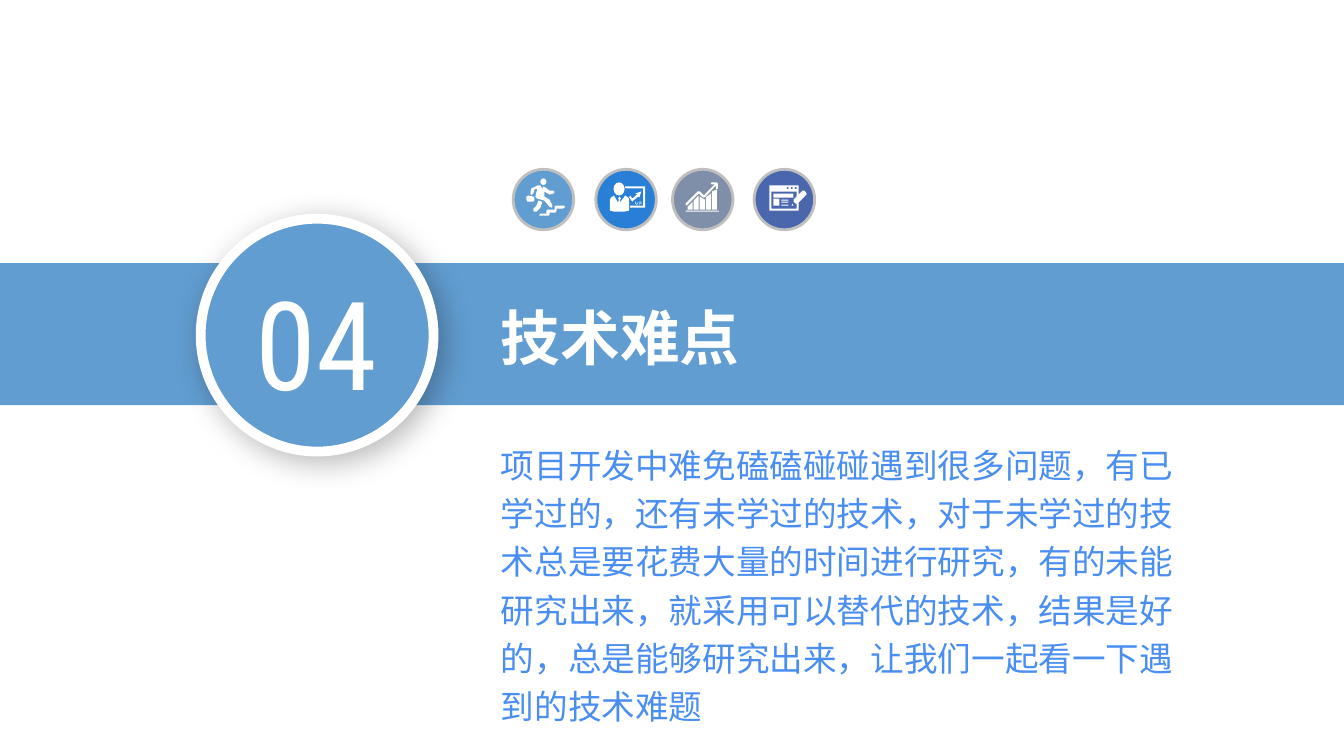
from lxml.etree import SubElement
from pptx import Presentation
from pptx.dml.color import RGBColor
from pptx.enum.shapes import MSO_SHAPE
from pptx.enum.text import MSO_AUTO_SIZE, PP_ALIGN
from pptx.oxml.ns import qn
from pptx.util import Inches, Pt

COLORS = {
    "band": "629DD1", "presenter": "297FD5", "chart": "7F8FA9",
    "editor": "4A66AC", "white": "FFFFFF", "ring": "BFBFBF",
    "body": "4A8EF2", "shadow": "000000",
}
CHINESE_FONT = "Noto Sans CJK SC"
NUMBER_FONT = "Roboto Condensed"
DISC_SIZE = 0.6
DISC_TOP = 1.68

# Icon parts in hundredths of an inch from the disc's corner: a string is an
# outline ("|" starts the next contour), a tuple is (preset, box).
RECT, OVAL = MSO_SHAPE.RECTANGLE, MSO_SHAPE.OVAL
RUNNER = [
    "27,44 33,44 33,41 34,40 41,40 41,37 42,36 51,36 51,38 49,39 43,39 43,41 "
    "42,43 36,43 36,45 35,46 26,46 26,45",
    "14,32 20,32 21,31 21,28 20,27 15,26 13,27 13,30",
    "20,39 23,36 25,31 28,32 29,32 27,38 23,42 21,42 20,41",
    "30,17 32,18 36,21 40,21 41,22.5 40,24 36,25 31,22 31,27 36,30 39,36 "
    "38,38 36,37 31,31 24,29 22,27 24,19 21,20 20,24 18,25.5 17,24 18,19 "
    "24,16 27,16 29,19",
    (OVAL, (27, 9, 6, 6.5)),
]
PRESENTER = [
    "29,17 29,18 30,19 47,19 47,36 34,36 34,38 49,38 49,17",
    "34,26 33,28 36,32 42,27 43,28 45,22 39,24 41,25 36,29",
    "29,26 24,33 24,30 25,29 23.5,27 22,29 23,30 22,33 18,26 15,28 14,30 "
    "14,41 18,42 28,42 33,41 33,30 32,28",
    "39,32 39,34 40,35 41,35 42,34 42,32 41.5,32 41.5,34 40.5,34.5 39.5,34 39.5,32",
    "43,32 43,35 43.5,35 43.5,34 45,34 45,32|43.5,32.5 44.5,32.5 44.5,33.5 43.5,33.5",
    (OVAL, (17.5, 13, 11, 13)),
]
BAR_TOPS = [(37, 32), (31, 26), (27, 30), (28, 24), (22, 20)]
CHART = [
    f"{left},40 {left},{start} {left + 5},{end} {left + 5},40"
    for left, (start, end) in zip(range(15, 40, 6), BAR_TOPS)
] + [
    (RECT, (13, 41, 33, 1)),
    "14,36 26,24 30,28 32,28 43,16 43,19 44,20 45,19 45,14 44,13 39,13 38,14 "
    "39,15 42,15 31,26 27,22 25,22 13,34 13,35",
]
WINDOW_DOTS = "".join(
    f"|{x},18.5 {x + 1.25},17 {x + 2.5},18.5 {x + 1.25},20" for x in (32, 36, 40))
EDITOR = [
    "15,16 44,16 44,41 15,41|17,22 42,22 42,39 17,39" + WINDOW_DOTS,
    (RECT, (19, 24, 20, 4)),
    (RECT, (19, 29, 6, 7)),
    *((RECT, (27, top, 7, 1)) for top in (30, 32, 35)),
    "38,34 37,36 39,36",
    "51,26 52,25 52,24 50,21 48,21 47,22",
    "47,22 39,30 39,32 40,33 41,34 43,34 51,26",
]
ICONS = [(5.09, "band", RUNNER), (5.91, "presenter", PRESENTER),
         (6.67, "chart", CHART), (7.48, "editor", EDITOR)]


def rgb(name):
    return RGBColor.from_string(COLORS[name])


def paint(shape, fill, line=None, width=0):
    shape.shadow.inherit = False
    shape.fill.solid()
    shape.fill.fore_color.rgb = rgb(fill)
    if line:
        shape.line.color.rgb = rgb(line)
        shape.line.width = Pt(width)
    else:
        shape.line.fill.background()


def add_preset(shapes, preset, box, *style):
    shape = shapes.add_shape(preset, *map(Inches, box))
    paint(shape, *style)
    return shape


def add_outline(shapes, outline, left, top):
    contours = [
        [(Inches(left + float(x) / 100), Inches(top + float(y) / 100))
         for x, y in (pair.split(",") for pair in contour.split())]
        for contour in outline.split("|")
    ]
    builder = shapes.build_freeform(*contours[0][0], scale=1.0)
    builder.add_line_segments(contours[0][1:], close=True)
    for contour in contours[1:]:
        builder.move_to(*contour[0])
        builder.add_line_segments(contour[1:], close=True)
    paint(builder.convert_to_shape(), "white")


def add_icon(slide, left, color, parts):
    shapes = slide.shapes.add_group_shape().shapes
    add_preset(shapes, OVAL, (left, DISC_TOP, DISC_SIZE, DISC_SIZE), color, "ring", 2)
    for part in parts:
        if isinstance(part, str):
            add_outline(shapes, part, left, DISC_TOP)
        else:
            preset, (x, y, width, height) = part
            box = (left + x / 100, DISC_TOP + y / 100, width / 100, height / 100)
            add_preset(shapes, preset, box, "white")


def add_text(shapes, box, text, color, font_format, paragraph_format):
    frame = shapes.add_textbox(*map(Inches, box)).text_frame
    frame.word_wrap = True
    frame.auto_size = MSO_AUTO_SIZE.SHAPE_TO_FIT_TEXT
    paragraph = frame.paragraphs[0]
    for name, value in paragraph_format.items():
        setattr(paragraph, name, value)
    run = paragraph.add_run()
    run.text = text
    for name, value in font_format.items():
        setattr(run.font, name, value)
    run.font.color.rgb = rgb(color)
    SubElement(run.font._element, qn("a:ea"), typeface=font_format["name"])


def add_soft_shadow(shape):
    effects = shape._element.spPr.find(qn("a:effectLst"))
    shadow = SubElement(effects, qn("a:outerShdw"), blurRad=str(Pt(22)), dist=str(Pt(6)),
                        dir="2700000", algn="tl", rotWithShape="0")
    color = SubElement(shadow, qn("a:srgbClr"), val=COLORS["shadow"])
    SubElement(color, qn("a:alpha"), val="28000")


def add_number_disc(slide, left, top, size):
    shapes = slide.shapes.add_group_shape().shapes
    disc = add_preset(shapes, OVAL, (left, top, size, size), "band", "white", 7)
    add_soft_shadow(disc)
    add_text(shapes, (left + 0.27, top + 0.43, 1.75, 1.58), "04", "white",
             {"name": NUMBER_FONT, "size": Pt(88)}, {"alignment": PP_ALIGN.CENTER})


def build_section_slide(slide):
    add_preset(slide.shapes, RECT, (0, 2.61, 13.33, 1.41), "band")
    add_text(slide.shapes, (4.87, 2.94, 4.72, 0.82), "技术难点", "white",
             {"name": CHINESE_FONT, "size": Pt(42.6), "bold": True}, {})
    add_text(slide.shapes, (4.87, 4.28, 6.94, 3.01),
             "项目开发中难免磕磕碰碰遇到很多问题，有已学过的，还有未学过的技术，"
             "对于未学过的技术总是要花费大量的时间进行研究，有的未能研究出来，"
             "就采用可以替代的技术，结果是好的，总是能够研究出来，"
             "让我们一起看一下遇到的技术难题", "body",
             {"name": CHINESE_FONT, "size": Pt(24)}, {"line_spacing": 1.2})
    for left, color, parts in ICONS:
        add_icon(slide, left, color, parts)
    add_number_disc(slide, 1.99, 2.17, 2.31)


def main():
    presentation = Presentation()
    presentation.slide_width = Inches(13.33)
    presentation.slide_height = Inches(7.5)
    build_section_slide(presentation.slides.add_slide(presentation.slide_layouts[6]))
    presentation.save("out.pptx")


if __name__ == "__main__":
    main()
